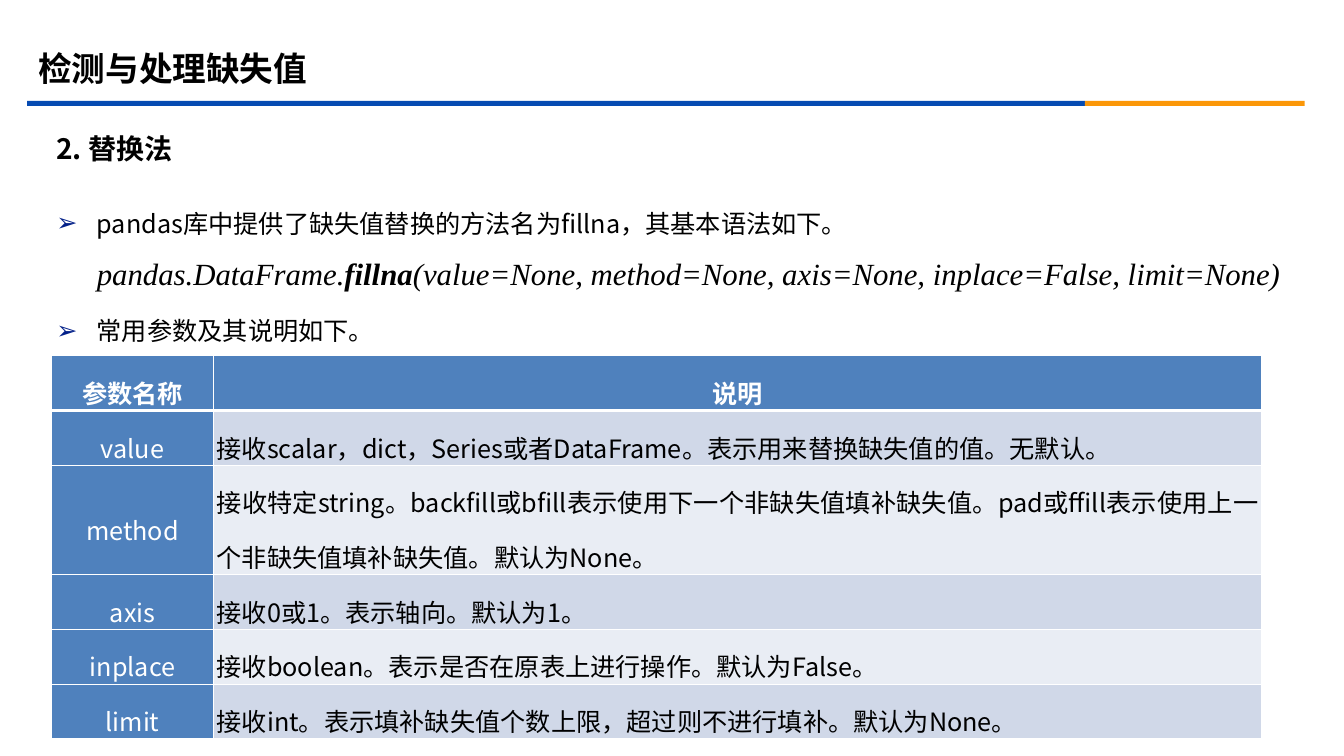
"""Slide on replacing missing values with fillna and its parameters."""
from lxml.etree import SubElement
from pptx import Presentation
from pptx.dml.color import RGBColor
from pptx.enum.shapes import MSO_SHAPE
from pptx.enum.text import MSO_ANCHOR as Anchor, MSO_AUTO_SIZE as AutoSize, PP_ALIGN as Align
from pptx.oxml import parse_xml
from pptx.oxml.ns import nsdecls, qn
from pptx.util import Inches, Pt

SANS, SERIF = "Noto Sans CJK SC", "Times New Roman"
HEADER_BLUE, BANDS = "4F81BD", ("E9EDF4", "D0D8E8")


def color(hex_value):
    return RGBColor.from_string(hex_value)


def write(paragraph, text, size, face=SANS, ink="000000", **style):
    run = paragraph.add_run()
    run.text = text
    values = {"size": Pt(size), "name": face, "bold": False, "italic": False, **style}
    for key, value in values.items():
        setattr(run.font, key, value)
    run.font.color.rgb = color(ink)
    SubElement(run.font._element, qn("a:ea"), typeface=face)


deck = Presentation()
deck.slide_width, deck.slide_height = Inches(13.33), Inches(7.5)
slide = deck.slides.add_slide(deck.slide_layouts[3])

for left, width, fill in ((0.27, 10.49, "064BB2"), (10.76, 2.18, "FB9708")):
    rule = slide.shapes.add_shape(
        MSO_SHAPE.RECTANGLE, Inches(left), Inches(1), Inches(width), Inches(0.05))
    rule.shadow.inherit = False
    rule.fill.solid()
    rule.fill.fore_color.rgb = color(fill)
    rule.line.fill.background()

title, syntax, heading = slide.placeholders
places = (
    (title, (0.28, 0.39, 12, 0.58), Anchor.MIDDLE),
    (syntax, (0.46, 1.92, 12.6, 4.78), Anchor.TOP),
    (heading, (0.46, 1.24, 12.15, 0.47), Anchor.MIDDLE),
)
for holder, box, anchor in places:
    for key, value in zip(("left", "top", "width", "height"), box):
        setattr(holder, key, Inches(value))
    frame_format = {"vertical_anchor": anchor, "word_wrap": True, "auto_size": AutoSize.NONE}
    for key, value in frame_format.items():
        setattr(holder.text_frame, key, value)

title_line = title.text_frame.paragraphs[0]
title_line.alignment = Align.LEFT
write(title_line, "检测与处理缺失值", 24, bold=True)

heading_line = heading.text_frame.paragraphs[0]
heading_line.space_before = Pt(4)
write(heading_line, "2. 替换法", 20, bold=True)
heading_props = heading_line._p.get_or_add_pPr()
heading_props.set("marL", "0")
heading_props.set("indent", "0")
SubElement(heading_props, qn("a:buNone"))

code = {"face": SERIF, "italic": True}
syntax_lines = (
    (True, [("pandas库中提供了缺失值替换的方法名为fillna，其基本语法如下。", 18, {})]),
    (False, [("pandas.DataFrame.", 22, code),
             ("fillna", 22, {**code, "bold": True}),
             ("(value=None, method=None, axis=None, inplace=False, limit=None)", 22, code)]),
    (True, [("常用参数及其说明如下。", 18, {})]),
)
for row, (bulleted, pieces) in enumerate(syntax_lines):
    line = syntax.text_frame.add_paragraph() if row else syntax.text_frame.paragraphs[0]
    line.line_spacing, line.space_before = Pt(28.4), Pt(10)
    props = line._p.get_or_add_pPr()
    props.set("marL", str(Inches(0.4)))
    props.set("indent", str(Inches(-0.4 if bulleted else 0)))
    if bulleted:
        SubElement(SubElement(props, qn("a:buClr")), qn("a:srgbClr"), val="032089")
        SubElement(props, qn("a:buChar"), char="➢")
    else:
        SubElement(props, qn("a:buNone"))
    for text, size, style in pieces:
        write(line, text, size, **style)

parameters = (
    ("参数名称", "说明"),
    ("value", "接收scalar，dict，Series或者DataFrame。表示用来替换缺失值的值。无默认。"),
    ("method", "接收特定string。backfill或bfill表示使用下一个非缺失值填补缺失值。"
               "pad或ffill表示使用上一个非缺失值填补缺失值。默认为None。"),
    ("axis", "接收0或1。表示轴向。默认为1。"),
    ("inplace", "接收boolean。表示是否在原表上进行操作。默认为False。"),
    ("limit", "接收int。表示填补缺失值个数上限，超过则不进行填补。默认为None。"),
)
row_height = 0.47
table = slide.shapes.add_table(
    len(parameters), 2, Inches(0.51), Inches(3.53),
    Inches(12), Inches(row_height * len(parameters))).table
for column, width in zip(table.columns, (1.61, 10.39)):
    column.width = Inches(width)
cell_format = {"margin_left": Inches(0.03), "margin_right": Inches(0.03),
               "margin_top": 0, "margin_bottom": 0, "vertical_anchor": Anchor.MIDDLE}

for row, texts in enumerate(parameters):
    table.rows[row].height = Inches(row_height)
    for col, text in enumerate(texts):
        cell = table.cell(row, col)
        for key, value in cell_format.items():
            setattr(cell, key, value)
        labelled = row == 0 or col == 0
        for side in "LRTB":
            thick = (row == 0 and side == "B") or (row == 1 and side == "T")
            cell._tc.get_or_add_tcPr().append(parse_xml(
                f'<a:ln{side} {nsdecls("a")} w="{Pt(3 if thick else 1)}"><a:solidFill>'
                f'<a:srgbClr val="FFFFFF"/></a:solidFill></a:ln{side}>'))
        cell.fill.solid()
        cell.fill.fore_color.rgb = color(HEADER_BLUE if labelled else BANDS[row % 2])
        line = cell.text_frame.paragraphs[0]
        line.alignment = Align.CENTER if labelled else Align.JUSTIFY
        line.line_spacing = 1.5
        write(line, text, 18, ink="FFFFFF" if labelled else "000000", bold=row == 0)

deck.save("out.pptx")
